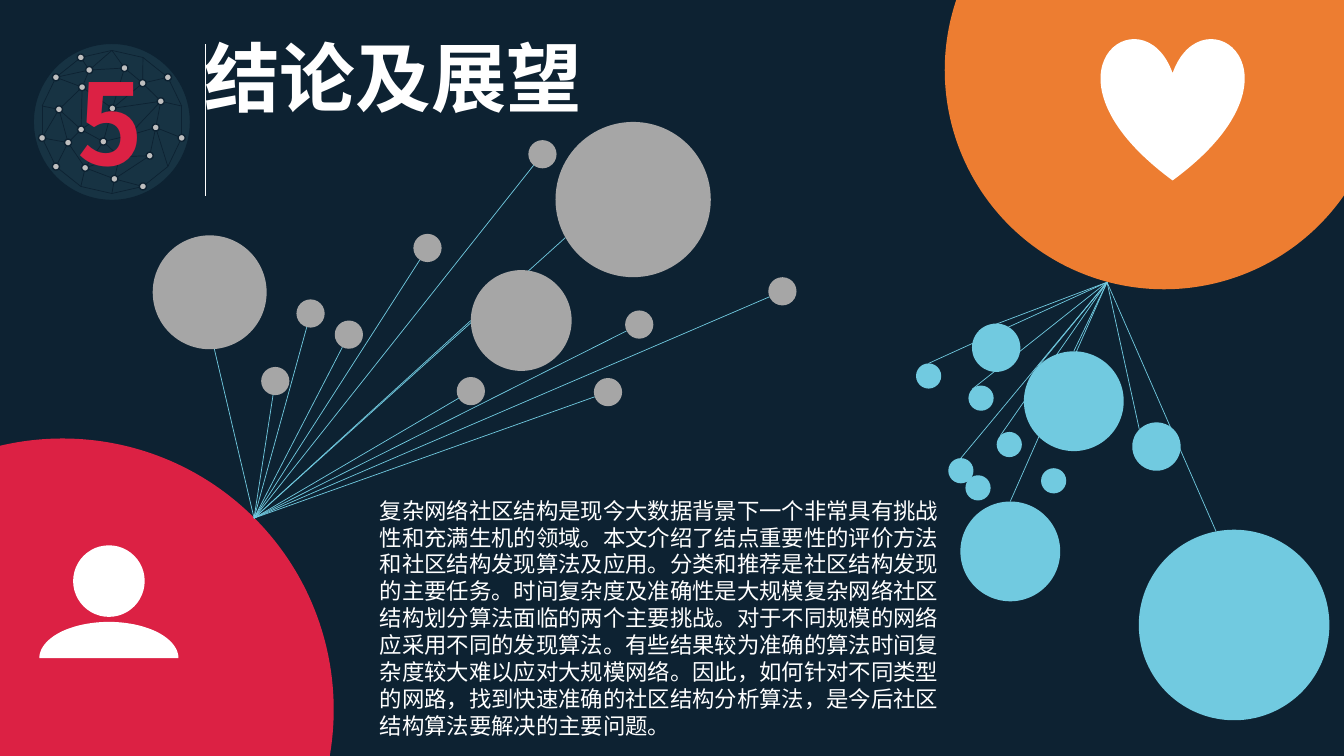
from math import atan2, cos, degrees, hypot, pi, radians, sin

from lxml import etree
from pptx import Presentation
from pptx.dml.color import RGBColor
from pptx.enum.shapes import MSO_CONNECTOR, MSO_SHAPE
from pptx.enum.text import MSO_ANCHOR, MSO_AUTO_SIZE, PP_ALIGN
from pptx.oxml.ns import qn
from pptx.util import Inches, Pt

LEFT, CENTER = PP_ALIGN.LEFT, PP_ALIGN.CENTER
TOP = MSO_ANCHOR.TOP
NO_FIT = MSO_AUTO_SIZE.NONE
OVAL, HEART = MSO_SHAPE.OVAL, MSO_SHAPE.HEART
STRAIGHT = MSO_CONNECTOR.STRAIGHT
HEAD_FONT, BODY_FONT = "Noto Sans CJK SC", "Calibri"
COLORS = {"navy": "0D2232", "white": "FFFFFF", "red": "DC2144", "orange": "ED7D31",
          "blue": "71CAE0", "gray": "A6A6A6", "silver": "BFBFBF"}

# Network icon: node corners in inches inside the icon's box
NODE_SIZE = 0.07
NODES = [(0.52, 0.23), (0.45, 0.40), (0.75, 0.61), (0.44, 0.82), (1.18, 0.80), (0.82, 1.09),
         (1.05, 0.36), (0.48, 1.20), (0.22, 0.62), (1.12, 1.08), (0.91, 0.88), (0.77, 1.31),
         (1.23, 0.54), (0.87, 0.21), (0.66, 0.94), (0.31, 0.95)]
NODE_LINKS = [(0, 1), (1, 2), (14, 10), (14, 5), (3, 14), (15, 3), (15, 7), (7, 11), (11, 5),
              (5, 9), (13, 6), (10, 2), (3, 2), (1, 3), (8, 1), (8, 3), (8, 15), (2, 6),
              (13, 2), (6, 12), (10, 12), (12, 4), (10, 4), (4, 9), (5, 10), (11, 9), (7, 14),
              (0, 13), (2, 12), (14, 2), (7, 5)]
# Rim corners run clockwise from the top; each pair is (rim corner, node)
RIM_COUNT = 14
RIM_LINKS = [(13, 0), (11, 8), (12, 0), (9, 15), (10, 8), (12, 1), (0, 0), (0, 13), (1, 6),
             (4, 4), (5, 4), (6, 11), (7, 11), (10, 15), (2, 6), (3, 12), (8, 7)]
RIM_DOTS = [13, 4, 9, 10, 2, 6, 12]

# Clusters: centre offset from the hub, diameter, angles where spokes meet the dot
FACING = None
GRAY_DOTS = [(0.56, -2.03, 0.28, [FACING]), (5.24, -2.25, 0.28, [FACING]),
             (-0.44, -2.24, 1.13, [175.3]), (0.94, -1.82, 0.28, [FACING]),
             (0.21, -1.36, 0.28, [FACING]), (2.86, -3.61, 0.28, [FACING]),
             (3.82, -1.92, 0.28, [FACING]), (2.15, -1.26, 0.28, [FACING]),
             (1.72, -2.68, 0.28, [FACING]), (3.51, -1.25, 0.28, [FACING]),
             (3.76, -3.16, 1.54, [240.7]), (2.65, -1.96, 1, [270])]
BLUE_DOTS = [(-0.33, 1.18, 0.99, [0, -45]), (-0.96, 2.67, 0.99, [0]),
             (-1.45, 1.87, 0.25, [0]), (-0.53, 1.97, 0.25, []), (-1.25, 1.15, 0.25, [-45]),
             (-1.77, 0.93, 0.25, [0]), (0.49, 1.63, 0.48, [-45]), (-1.1, 0.65, 0.48, [-45]),
             (-0.97, 1.61, 0.25, [-45]), (-1.28, 2.04, 0.25, []), (1.26, 3.4, 1.89, [-10.9])]

SUMMARY = ("复杂网络社区结构是现今大数据背景下一个非常具有挑战性和充满生机的领域。"
           "本文介绍了结点重要性的评价方法和社区结构发现算法及应用。"
           "分类和推荐是社区结构发现的主要任务。"
           "时间复杂度及准确性是大规模复杂网络社区结构划分算法面临的两个主要挑战。"
           "对于不同规模的网络应采用不同的发现算法。"
           "有些结果较为准确的算法时间复杂度较大难以应对大规模网络。"
           "因此，如何针对不同类型的网路，找到快速准确的社区结构分析算法，"
           "是今后社区结构算法要解决的主要问题。")


def color(name):
    return RGBColor.from_string(COLORS[name])


def on_circle(x, y, radius, angle):
    """Point on a circle, the angle clockwise from the top."""
    return x + radius * sin(radians(angle)), y - radius * cos(radians(angle))


def paint(shape, fill, outline=None, alpha=None):
    shape.shadow.inherit = False
    shape.fill.solid()
    shape.fill.fore_color.rgb = color(fill)
    if alpha:
        tint = shape.fill._xPr.find(".//" + qn("a:srgbClr"))
        etree.SubElement(tint, qn("a:alpha")).set("val", str(alpha * 1000))
    if outline:
        shape.line.color.rgb = color(outline)
        shape.line.width = Pt(1)
    else:
        shape.line.fill.background()


def add_preset(page, kind, left, top, size, fill, **look):
    shape = page.shapes.add_shape(kind, Inches(left), Inches(top), Inches(size), Inches(size))
    paint(shape, fill, **look)


def add_circle(page, center, size, fill, **look):
    add_preset(page, OVAL, center[0] - size / 2, center[1] - size / 2, size, fill, **look)


def add_line(page, start, end, line_color):
    line = page.shapes.add_connector(STRAIGHT, *(Inches(n) for n in (*start, *end)))
    line.line.color.rgb = color(line_color)
    line.line.width = Pt(0.5)
    etree.SubElement(line._element.spPr, qn("a:effectLst"))


def write_text(box, text, *, size, font, ink="white", bold=False, align=LEFT, wrap=True):
    frame = box.text_frame
    frame.word_wrap = wrap
    frame.auto_size = NO_FIT
    frame.vertical_anchor = TOP
    para = frame.paragraphs[0]
    para.alignment = align
    span = para.add_run()
    span.text = text
    span.font.size = Pt(size)
    span.font.name = font
    span.font.bold = bold
    span.font.color.rgb = color(ink)
    latin = span._r.rPr.find(qn("a:latin"))
    east_asian = etree.Element(qn("a:ea"), typeface=font)
    latin.addnext(east_asian)


def add_text(page, left, top, width, height, text, **look):
    box = page.shapes.add_textbox(*(Inches(n) for n in (left, top, width, height)))
    write_text(box, text, **look)


def add_title(page, left, top, width, height, text):
    title = page.shapes.title
    title.left, title.top, title.width, title.height = (
        Inches(n) for n in (left, top, width, height))
    frame = title.text_frame
    frame.margin_left = frame.margin_right = Inches(0.15)
    frame.margin_top = frame.margin_bottom = Inches(0.08)
    write_text(title, text, size=54, font=HEAD_FONT, bold=True, align=CENTER)


def add_network_icon(page, left, top, size):
    center = left + size / 2, top + size / 2
    half = NODE_SIZE / 2
    add_circle(page, center, size, "blue", outline="navy", alpha=10)
    rim = [on_circle(*center, 0.71, 360 / RIM_COUNT * i) for i in range(RIM_COUNT)]
    nodes = [(left + x + half, top + y + half) for x, y in NODES]

    def toward(start, end):
        share = half / hypot(end[0] - start[0], end[1] - start[1])
        return tuple(a + (b - a) * share for a, b in zip(start, end))

    for i, corner in enumerate(rim):
        add_line(page, corner, rim[(i + 1) % RIM_COUNT], "navy")
    for a, b in NODE_LINKS:
        add_line(page, toward(nodes[a], nodes[b]), toward(nodes[b], nodes[a]), "navy")
    for a, b in RIM_LINKS:
        add_line(page, rim[a], toward(nodes[b], rim[a]), "navy")
    for dot in nodes + [rim[i] for i in RIM_DOTS]:
        add_circle(page, dot, NODE_SIZE, "silver", outline="navy")


def add_cluster(page, hub_x, hub_y, dots, fill):
    for dx, dy, size, angles in dots:
        for angle in angles:
            if angle is FACING:
                angle = degrees(atan2(-dx, dy))
            end = on_circle(hub_x + dx, hub_y + dy, size / 2, angle)
            add_line(page, (hub_x, hub_y), end, "blue")
    for dx, dy, size, _ in dots:
        add_circle(page, (hub_x + dx, hub_y + dy), size, fill)


def add_person(page, left, top, width, height):
    # Head, then shoulders as a half ellipse
    middle, base = left + width / 2, top + height
    add_circle(page, (middle, top + 0.355), 0.71, "white")
    steps = 48
    arc = [(Inches(middle - width / 2 * cos(pi * i / steps)),
            Inches(base - 0.36 * sin(pi * i / steps))) for i in range(steps + 1)]
    builder = page.shapes.build_freeform(*arc[0])
    builder.add_line_segments(arc[1:], close=True)
    paint(builder.convert_to_shape(), "white")


def build_conclusion(page):
    page.background.fill.solid()
    page.background.fill.fore_color.rgb = color("navy")
    # Heading
    add_title(page, -0.61, 0.23, 9.02, 1.06, "结论及展望")
    add_network_icon(page, 0.33, 0.43, 1.56)
    add_line(page, (2.04, 0.44), (2.04, 1.94), "white")
    add_text(page, 0.67, 0.48, 0.89, 1.45, "5", size=80, font=HEAD_FONT, ink="red",
             bold=True, wrap=False)
    # Corner discs and their clusters
    add_preset(page, OVAL, -2.07, 4.35, 5.38, "red")
    add_preset(page, OVAL, 9.37, -1.48, 4.35, "orange")
    add_cluster(page, 2.52, 5.14, GRAY_DOTS, "gray")
    add_cluster(page, 10.98, 2.8, BLUE_DOTS, "blue")
    add_person(page, 0.39, 5.41, 1.38, 1.12)
    add_preset(page, HEART, 10.92, 0.37, 1.42, "white")
    # Summary
    add_text(page, 3.67, 4.88, 5.82, 3.1, SUMMARY, size=16, font=BODY_FONT)


def main():
    deck = Presentation()
    deck.slide_width, deck.slide_height = Inches(13.33), Inches(7.5)
    build_conclusion(deck.slides.add_slide(deck.slide_layouts[5]))
    deck.save("out.pptx")


if __name__ == "__main__":
    main()
